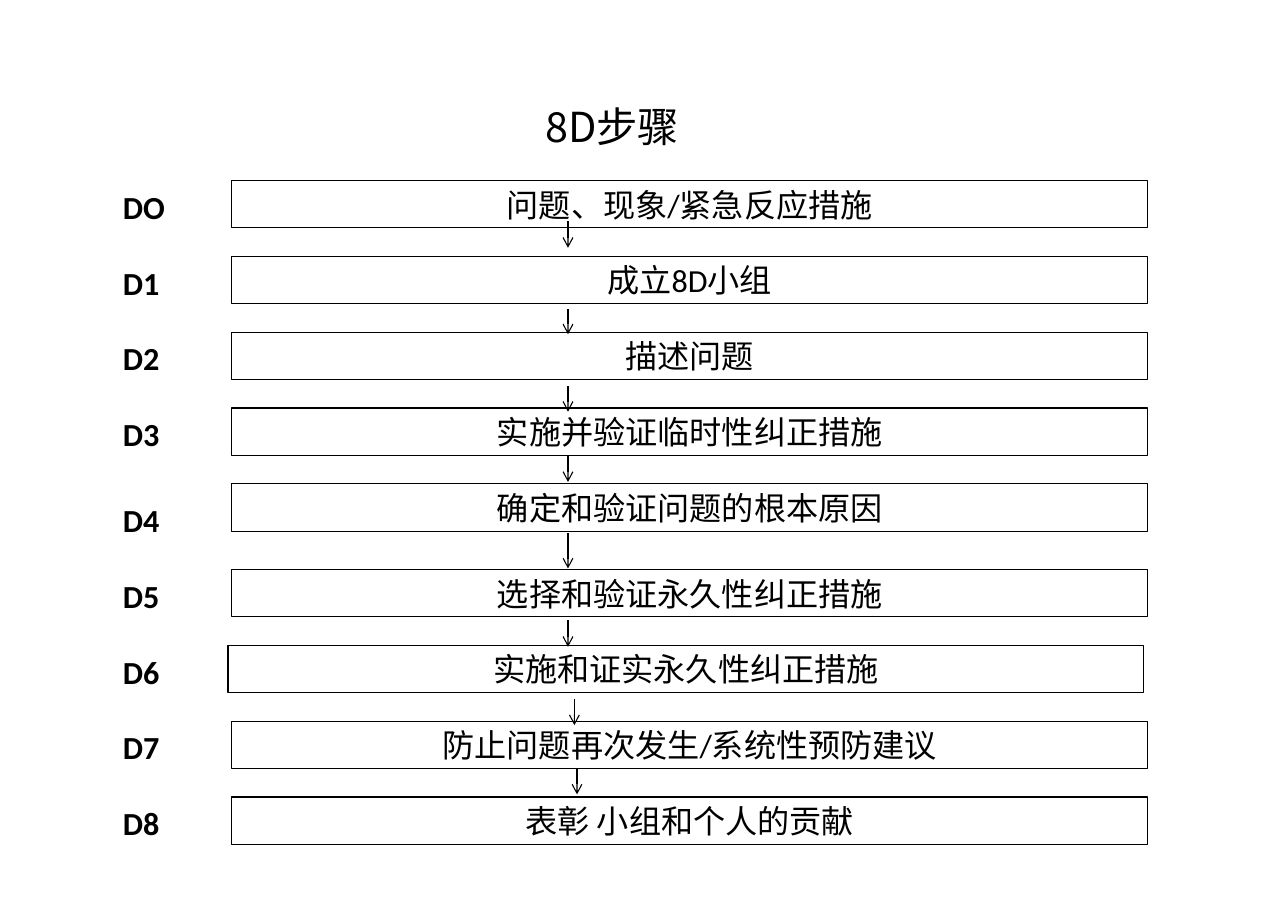
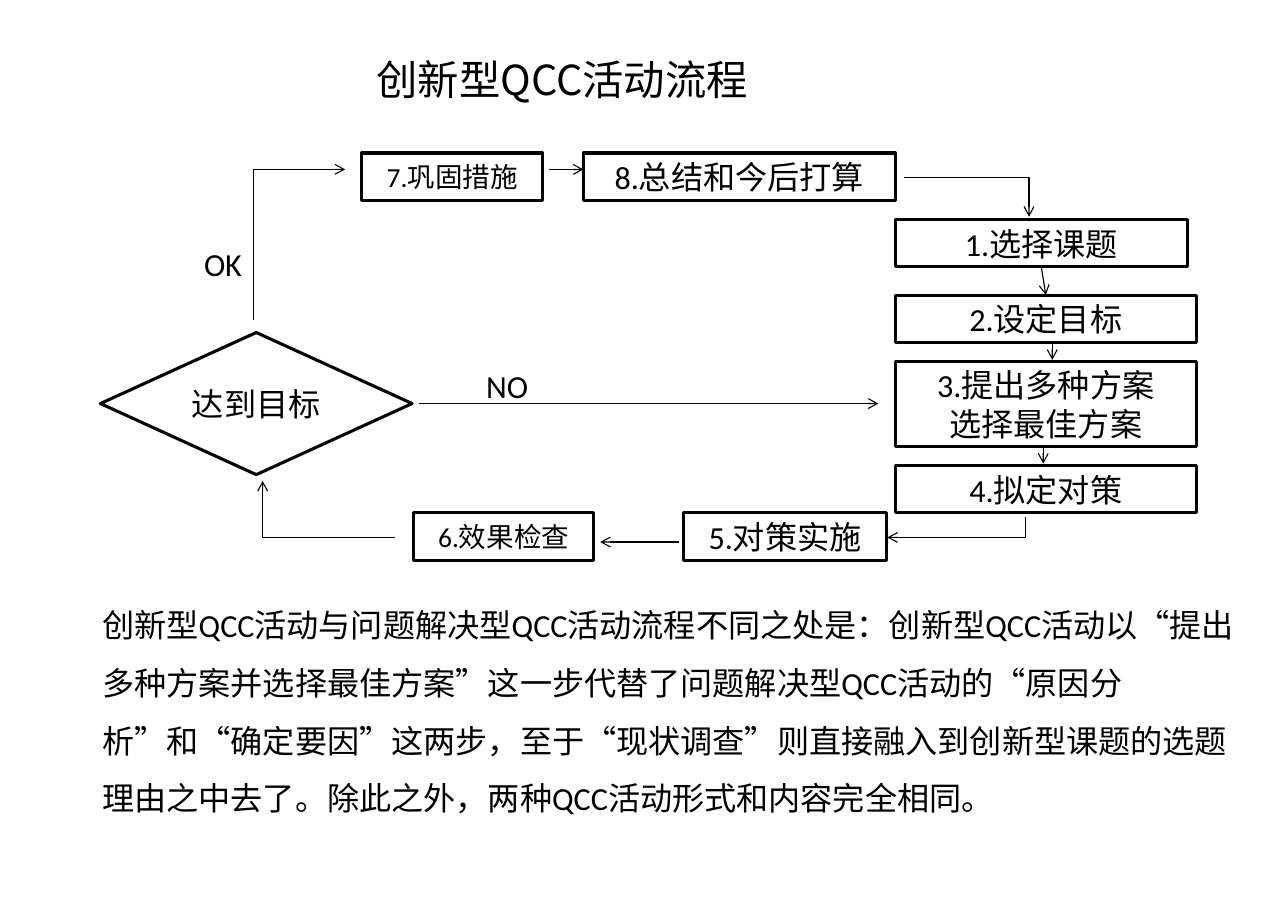
from lxml import etree
from pptx import Presentation
from pptx.dml.color import RGBColor
from pptx.enum.shapes import MSO_CONNECTOR, MSO_SHAPE
from pptx.enum.text import MSO_ANCHOR, MSO_AUTO_SIZE, PP_ALIGN
from pptx.oxml.ns import qn
from pptx.util import Inches, Pt

RECT, DIAMOND = MSO_SHAPE.RECTANGLE, MSO_SHAPE.DIAMOND
STRAIGHT, ELBOW = MSO_CONNECTOR.STRAIGHT, MSO_CONNECTOR.ELBOW
LEFT, CENTER = PP_ALIGN.LEFT, PP_ALIGN.CENTER
TOP, MIDDLE = MSO_ANCHOR.TOP, MSO_ANCHOR.MIDDLE
GROW = MSO_AUTO_SIZE.SHAPE_TO_FIT_TEXT

COLORS = {"ink": "000000", "paper": "FFFFFF"}
INK = RGBColor.from_string(COLORS["ink"])
PAPER = RGBColor.from_string(COLORS["paper"])
LATIN, HAN = "Calibri", "Noto Sans CJK SC"
TITLE = {"size": 27, "font": HAN}

deck = Presentation()
deck.slide_width, deck.slide_height = Inches(11.69), Inches(8.27)
# The grid has 100 columns and 100 rows; every place below is given in them.
COL, ROW = deck.slide_width / 100, deck.slide_height / 100
BOX_H, TAG_H = 5.2, 5.6
blank = deck.slide_layouts[6]


def put(slide, spot, text, kind=None, edge=0.75, size=21, font=LATIN,
        bold=False, align=LEFT, wrap=True, lead=None):
    """Add a text box, or an outlined shape with centred text if kind is given."""
    x, y, w, h = spot
    place = [round(v) for v in (x * COL, y * ROW, w * COL, h * ROW)]
    if kind is None:
        shape = slide.shapes.add_textbox(*place)
    else:
        shape = slide.shapes.add_shape(kind, *place)
        shape.shadow.inherit = False
        shape.fill.solid()
        shape.fill.fore_color.rgb = PAPER
        shape.line.color.rgb = INK
        shape.line.width = Pt(edge)
        align = CENTER
    frame = shape.text_frame
    frame.text = text
    frame.word_wrap = wrap
    frame.margin_left = frame.margin_right = Inches(0.11)
    frame.margin_top = frame.margin_bottom = Inches(0.06)
    frame.vertical_anchor = MIDDLE if kind else TOP
    if kind is None:
        frame.auto_size = GROW
    for para in frame.paragraphs:
        para.alignment = align
        if lead:
            para.line_spacing = lead
        for run in para.runs:
            run.font.size = Pt(size)
            run.font.bold = bold
            run.font.color.rgb = INK
            run.font.name = font
            etree.SubElement(run.font._element, qn("a:ea"), typeface=HAN)
    return shape


def link(slide, start, end, turn=None):
    """Add an arrow; turn "h" or "v" bends it once, that direction first."""
    x1, y1, x2, y2 = start[0] * COL, start[1] * ROW, end[0] * COL, end[1] * ROW
    if turn == "v":
        # The frame is laid on its side here and turned by 90 degrees below.
        mx, my, dx, dy = (x1 + x2) / 2, (y1 + y2) / 2, x2 - x1, y2 - y1
        x1, y1, x2, y2 = mx - dy / 2, my + dx / 2, mx + dy / 2, my - dx / 2
    arrow = slide.shapes.add_connector(
        ELBOW if turn else STRAIGHT, *[round(v) for v in (x1, y1, x2, y2)])
    arrow.line.color.rgb = INK
    arrow.line.width = Pt(0.75)
    props = arrow._element.spPr
    if turn:
        props.find(qn("a:prstGeom")).set("prst", "bentConnector2")
    if turn == "v":
        props.find(qn("a:xfrm")).set("rot", "5400000")
    etree.SubElement(props.find(qn("a:ln")), qn("a:tailEnd"), type="arrow")
    etree.SubElement(props, qn("a:effectLst"))
    return arrow


# Slide 1: the steps of 8D
steps = deck.slides.add_slide(blank)
put(steps, (41.4, 10.4, 13.3, 12.3), "8D步骤", **TITLE)

names = [
    ("DO", "问题、现象/紧急反应措施"),
    ("D1", "成立8D小组"),
    ("D2", "描述问题"),
    ("D3", "实施并验证临时性纠正措施"),
    ("D4", "确定和验证问题的根本原因"),
    ("D5", "选择和验证永久性纠正措施"),
    ("D6", "实施和证实永久性纠正措施"),
    ("D7", "防止问题再次发生/系统性预防建议"),
    ("D8", "表彰 小组和个人的贡献"),
]
FIRST, PITCH, EXTRA = 19.83, 8.32, 1.1
for i, (tag, name) in enumerate(names):
    y = FIRST + i * PITCH
    x = 17.7 if tag == "D6" else 18
    put(steps, (x, y + EXTRA * (i > 4), 71.1, BOX_H), name, RECT)
    put(steps, (8.6, y + EXTRA * (i > 3), 6.2, TAG_H), tag, bold=True)

for x, y, drop in [
    (44.1, 24.3, 2.9), (44.1, 33.9, 2.8), (44.1, 42.4, 2.8), (44.1, 50.1, 2.8),
    (44.1, 58.5, 3.9), (44.1, 68.1, 2.9), (44.6, 76.7, 2.9), (44.8, 84.3, 2.9),
]:
    link(steps, (x, y), (x, y + drop))

# Slide 2: the flow of a QCC
flow = deck.slides.add_slide(blank)
put(flow, (27.4, 5.2, 32.5, 6.8), "创新型QCC活动流程",
    align=CENTER, wrap=False, **TITLE)
put(flow, (7.8, 36.5, 24.2, 15.6), "达到目标", DIAMOND, edge=2)

SIDE, UPPER, LOWER = 69.5, 16.8, 56.3
boxes = {}
for x, y, w, h, size, text in [
    (SIDE, 24.1, 22.7, BOX_H, 21, "1.选择课题"),
    (SIDE, 32.4, 23.4, BOX_H, 21, "2.设定目标"),
    (SIDE, 39.7, 23.4, 9.3, 21, "3.提出多种方案\n选择最佳方案"),
    (SIDE, 51.1, 23.4, BOX_H, 21, "4.拟定对策"),
    (53.1, LOWER, 15.7, BOX_H, 21, "5.对策实施"),
    (32.1, LOWER, 14, BOX_H, 18, "6.效果检查"),
    (28.1, UPPER, 14, BOX_H, 18, "7.巩固措施"),
    (45.3, UPPER, 24.2, BOX_H, 21, "8.总结和今后打算"),
]:
    boxes[text[0]] = put(flow, (x, y, w, h), text, RECT, edge=2, size=size)

for start, end, turn in [
    ((32.5, 44.3), (68.2, 44.3), None),
    ((19.7, 35.1), (26.8, 18.6), "v"),
    ((30.7, 59), (20.4, 52.8), "h"),
    ((42.6, 18.6), (45.3, 18.6), None),
    ((70.2, 19.5), (79.9, 23.8), "h"),
    ((79.6, 56.7), (68.9, 59), "v"),
    ((81.7, 37.6), (81.7, 39.5), None),
    ((81, 49.1), (81, 50.9), None),
    ((52.7, 59.5), (46.6, 59.5), None),
]:
    link(flow, start, end, turn)
joint = link(flow, (80.9, 29.3), (81.2, 32.4))
joint.begin_connect(boxes["1"], 2)
joint.end_connect(boxes["2"], 0)

put(flow, (36.8, 39.5, 5.2, TAG_H), "NO", wrap=False)
put(flow, (14.9, 26.1, 4.9, TAG_H), "OK", wrap=False)
put(flow, (7, 63.6, 90.7, 26.7),
    "创新型QCC活动与问题解决型QCC活动流程不同之处是：创新型QCC活动"
    "以“提出多种方案并选择最佳方案”这一步代替了问题解决型QCC活动的“原因"
    "分析”和“确定要因”这两步，至于“现状调查”则直接融入到创新型课题的选"
    "题理由之中去了。除此之外，两种QCC活动形式和内容完全相同。", lead=1.5)

deck.save("out.pptx")
